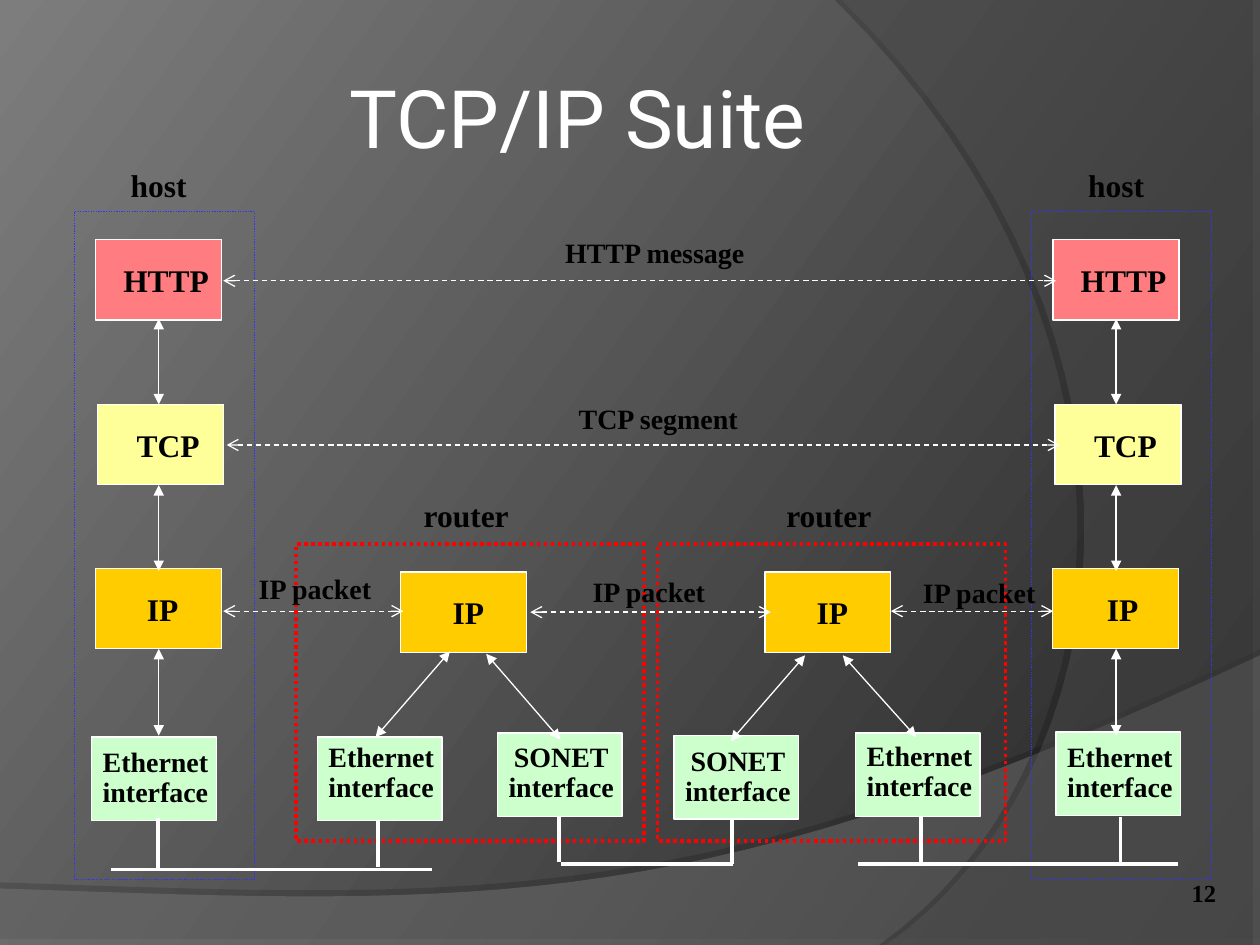
from dataclasses import dataclass

from lxml.etree import SubElement
from pptx import Presentation
from pptx.dml.color import RGBColor
from pptx.enum.dml import MSO_LINE
from pptx.enum.shapes import MSO_CONNECTOR, MSO_SHAPE
from pptx.enum.text import MSO_ANCHOR, PP_ALIGN
from pptx.oxml.ns import qn
from pptx.util import Cm, Pt


@dataclass(frozen=True)
class Theme:
    title_font: str = "Roboto"
    body_font: str = "Times New Roman"
    title_size: int = 46
    large: int = 18
    medium: int = 16
    small: int = 14
    thin: float = 0.75
    thick: float = 2
    white: str = "FFFFFF"
    black: str = "000000"
    dark: str = "242424"
    light: str = "7D7D7D"
    lower_wave: str = "7C7C7C"
    side_wave: str = "595959"
    http: str = "FF7C80"
    tcp: str = "FFFF99"
    ip: str = "FFCC00"
    interface: str = "CCFFCC"
    host: str = "3333FF"
    router: str = "FF0000"


THEME = Theme()
HOST_SHIFT = 19.3  # distance between the two hosts, in cm


def color(value):
    return RGBColor.from_string(value)


def write(frame, text, size, align=PP_ALIGN.CENTER, font=THEME.body_font,
          ink=THEME.black, bold=True):
    frame.text = text
    for para in frame.paragraphs:
        para.alignment = align
        for span in para.runs:
            span.font.name = font
            span.font.size = Pt(size)
            span.font.bold = bold
            span.font.color.rgb = color(ink)


def add_background(slide):
    fill = slide.background.fill
    fill.gradient()
    fill.gradient_angle = 144
    for stop, shade in zip(fill.gradient_stops, (THEME.dark, THEME.light)):
        stop.color.rgb = color(shade)


def bezier(start, first, second, end, steps=32):
    points = []
    for step in range(1, steps + 1):
        t = step / steps
        weights = ((1 - t) ** 3, 3 * t * (1 - t) ** 2, 3 * t * t * (1 - t), t ** 3)
        points.append(tuple(
            sum(weight * value for weight, value in zip(weights, axis))
            for axis in zip(start, first, second, end)))
    return points


def add_wave(slide, corners, curve, shade, opacity, shadow):
    """Translucent shape with straight corners, one curved side and a hard shadow."""
    points = [(Cm(x), Cm(y)) for x, y in corners + bezier(corners[-1], *curve)]
    builder = slide.shapes.build_freeform(*points[0])
    builder.add_line_segments(points[1:], close=True)
    wave = builder.convert_to_shape()
    wave.fill.solid()
    wave.fill.fore_color.rgb = color(shade)
    wave.line.fill.background()
    properties = wave._element.spPr
    fill_color = properties.find(qn("a:solidFill")).find(qn("a:srgbClr"))
    SubElement(fill_color, qn("a:alpha"), val=str(opacity * 1000))
    distance, angle, strength = shadow
    effects = SubElement(properties, qn("a:effectLst"))
    outer = SubElement(effects, qn("a:outerShdw"), blurRad="0", dist=str(Pt(distance)),
                       dir=str(angle * 60000), algn="ctr", rotWithShape="0")
    shadow_color = SubElement(outer, qn("a:srgbClr"), val=THEME.black)
    SubElement(shadow_color, qn("a:alpha"), val=str(strength * 1000))


def add_title(slide, text):
    title = slide.shapes.title
    title.left, title.top, title.width, title.height = Cm(1.27), Cm(0.76), Cm(20.75), Cm(3.18)
    title.text_frame.vertical_anchor = MSO_ANCHOR.MIDDLE
    write(title.text_frame, text, THEME.title_size, font=THEME.title_font,
          ink=THEME.white, bold=False)


def add_rectangle(slide, left, top, width, height):
    box = slide.shapes.add_shape(MSO_SHAPE.RECTANGLE, Cm(left), Cm(top), Cm(width), Cm(height))
    box.shadow.inherit = False
    return box


def add_box(slide, left, top, text, fill, size=THEME.large, width=2.54, height=1.62,
            shift=0.15, rise=0.0):
    """Protocol box; shift and rise move its text right and up from the centre."""
    box = add_rectangle(slide, left, top, width, height)
    box.fill.solid()
    box.fill.fore_color.rgb = color(fill)
    box.line.color.rgb = color(THEME.white)
    box.line.width = Pt(THEME.thin)
    frame = box.text_frame
    frame.word_wrap = True
    frame.vertical_anchor = MSO_ANCHOR.MIDDLE
    frame.margin_left, frame.margin_right = Cm(2 * shift), 0
    frame.margin_top, frame.margin_bottom = 0, Cm(2 * rise)
    write(frame, text, size)
    return box


def add_interface(slide, left, top, network, rise=0.0):
    box = add_box(slide, left, top, f"{network}\ninterface", THEME.interface,
                  THEME.medium, 2.51, 1.68, 0.03, rise)
    for para in box.text_frame.paragraphs:
        para.line_spacing = 0.9


def add_frame(slide, left, top, width, height, ink, weight):
    frame = add_rectangle(slide, left, top, width, height)
    frame.fill.background()
    frame.line.color.rgb = color(ink)
    frame.line.width = Pt(weight)
    frame.line.dash_style = MSO_LINE.ROUND_DOT


def add_label(slide, center, top, width, text, size, align=PP_ALIGN.CENTER):
    label = slide.shapes.add_textbox(Cm(center - width / 2), Cm(top), Cm(width), Cm(size * 0.057))
    label.text_frame.word_wrap = False
    write(label.text_frame, text, size, align)


def add_line(slide, start, end, weight=THEME.thin, arrow=None, dashed=False):
    line = slide.shapes.add_connector(
        MSO_CONNECTOR.STRAIGHT, *(Cm(value) for value in (*start, *end)))
    line.line.color.rgb = color(THEME.white)
    line.line.width = Pt(weight)
    if dashed:
        line.line.dash_style = MSO_LINE.DASH
    properties = line._element.spPr
    if arrow:
        for tip in ("a:headEnd", "a:tailEnd"):
            SubElement(properties.find(qn("a:ln")), qn(tip), type=arrow)
    SubElement(properties, qn("a:effectLst"))


def add_host(slide, shift, ip_shift):
    for left, top, text, fill, text_shift in (
            (1.93, 4.83, "HTTP", THEME.http, 0.15),
            (1.97, 8.15, "TCP", THEME.tcp, 0.15),
            (1.92, 11.46, "IP", THEME.ip, ip_shift)):
        add_box(slide, left + shift, top, text, fill, shift=text_shift)
    for top, bottom in ((6.43, 8.15), (9.78, 11.51), (13.08, 14.83)):
        add_line(slide, (3.2 + shift, top), (3.2 + shift, bottom), arrow="triangle")
    add_frame(slide, 1.5 + shift, 4.27, 3.63, 13.46, THEME.host, THEME.thin)
    add_label(slide, 3.2 + shift, 3.22, 1.63, "host", THEME.large)


def add_router(slide, box_left, frame_left, label_center, arrows):
    add_box(slide, box_left, 11.53, "IP", THEME.ip, shift=0.09)
    for start, end in arrows:
        add_line(slide, start, end, arrow="triangle")
    add_frame(slide, frame_left, 10.97, 7.01, 5.99, THEME.router, THEME.thick)
    add_label(slide, label_center, 9.87, 2.24, "router", THEME.large)


def main():
    deck = Presentation()
    deck.slide_width, deck.slide_height = Cm(25.4), Cm(19.05)
    slide = deck.slides.add_slide(deck.slide_layouts[5])

    # Backdrop
    add_background(slide)
    add_wave(slide, [(0, 17.91), (0, 19.05), (25.4, 19.05), (25.4, 13.21)],
             [(14.2, 18.52), (9.93, 18.26), (0, 17.91)], THEME.lower_wave, 45, (3.5, 270, 35))
    add_wave(slide, [(25.4, 0), (25.4, 19.05), (17.86, 19.05)],
             [(22.63, 15.72), (24.05, 6.99), (16.97, 0)], THEME.side_wave, 40, (4, 180, 45))

    # Title and page number
    add_title(slide, "TCP/IP Suite")
    add_label(slide, 23.5, 17.58, 2.54, "12", THEME.small, PP_ALIGN.RIGHT)

    # Network interfaces
    for left, top, network, rise in (
            (1.85, 14.86, "Ethernet", 0), (6.4, 14.86, "Ethernet", 0.1),
            (10.03, 14.78, "SONET", 0.03), (13.59, 14.83, "SONET", 0),
            (17.25, 14.78, "Ethernet", 0.05), (21.29, 14.76, "Ethernet", 0)):
        add_interface(slide, left, top, network, rise)

    # Hosts and routers
    add_host(slide, 0, 0.09)
    add_host(slide, HOST_SHIFT, 0.14)
    add_router(slide, 8.08, 5.97, 9.4, (((9.07, 13.13), (7.57, 14.86)),
                                       ((9.8, 13.18), (11.3, 14.91))))
    add_router(slide, 15.42, 13.26, 16.71, (((16.23, 13.21), (14.73, 14.94)),
                                           ((16.99, 13.21), (18.47, 14.86))))

    # Physical links: drops from the interfaces, then the shared wires
    for x, top, bottom in ((3.18, 16.48, 17.53), (7.62, 16.56, 17.48), (11.27, 16.46, 17.37),
                           (14.76, 16.48, 17.42), (18.57, 16.46, 17.45), (22.59, 16.46, 17.37)):
        add_line(slide, (x, top), (x, bottom), THEME.thick)
    for left, right, y in ((2.24, 8.71, 17.53), (11.3, 14.78, 17.42), (17.3, 23.75, 17.42)):
        add_line(slide, (left, y), (right, y), THEME.thick)

    # Peer-to-peer exchanges
    for left, right, y, center, top, width, text in (
            (4.5, 21.29, 5.66, 13.2, 4.62, 4.14, "HTTP message"),
            (4.57, 21.36, 8.97, 13.27, 7.98, 3.73, "TCP segment"),
            (4.5, 8.13, 12.32, 6.35, 11.4, 2.79, "IP packet"),
            (10.69, 15.54, 12.34, 13.08, 11.46, 2.79, "IP packet"),
            (17.96, 21.23, 12.32, 19.74, 11.48, 2.79, "IP packet")):
        add_line(slide, (left, y), (right, y), arrow="arrow", dashed=True)
        add_label(slide, center, top, width, text, THEME.medium)

    deck.save("out.pptx")


if __name__ == "__main__":
    main()
